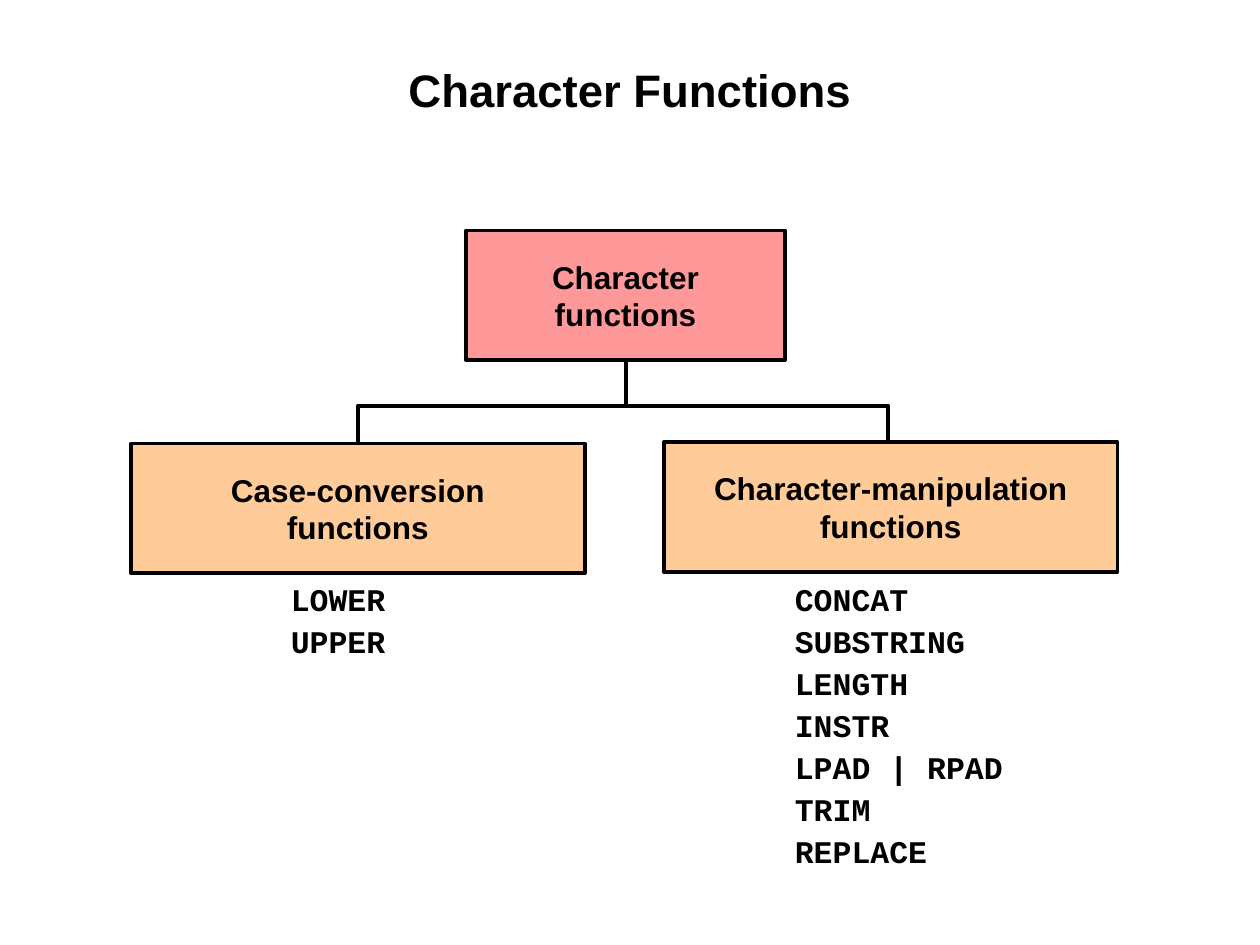
from pptx import Presentation, util as u
from pptx.dml.color import RGBColor
from pptx.enum import shapes, text
from pptx.oxml.ns import qn
from lxml import etree

BLACK = RGBColor(0x00, 0x00, 0x00)
PINK = RGBColor(0xFF, 0x99, 0x99)
ORANGE = RGBColor(0xFF, 0xCC, 0x99)

# Content: positions are in inches
TITLE = "Character Functions"
ROOT = ("Character", "functions")
BRANCHES = [
    dict(label=("Case-conversion", "functions"), left=1.04, top=3.52, drop=2.84,
         names=("LOWER", "UPPER"), list_at=(2.21, 4.59, 1, 0.7)),
    dict(label=("Character-manipulation", "functions"), left=5.27, top=3.51, drop=7.05,
         names=("CONCAT", "SUBSTRING", "LENGTH", "INSTR", "LPAD | RPAD", "TRIM", "REPLACE"),
         list_at=(6.21, 4.59, 3.12, 2.37)),
]
ROOT_AT = (3.7, 1.83, 2.53, 1.03)
BRANCH_SIZE = (3.6, 1.03)
BAR_Y = 3.22
DROP_END = 3.76


def inches(values):
    return [u.Inches(value) for value in values]


def write(frame, lines, font_name, size, align):
    frame.text = "\n".join(lines)
    for para in frame.paragraphs:
        para.alignment = align
        font = para.font
        font.name, font.size, font.bold = font_name, u.Pt(size), True
        font.color.rgb = BLACK


def outline(item):
    item.line.color.rgb = BLACK
    item.line.width = u.Pt(2.25)


def add_box(slide, at, lines, color):
    box = slide.shapes.add_shape(shapes.MSO_SHAPE.RECTANGLE, *inches(at))
    box.shadow.inherit = False
    box.fill.solid()
    box.fill.fore_color.rgb = color
    outline(box)
    box.text_frame.vertical_anchor = text.MSO_ANCHOR.MIDDLE
    write(box.text_frame, lines, "Arial", 18, text.PP_ALIGN.CENTER)
    return box


def add_list(slide, at, names):
    frame = slide.shapes.add_textbox(*inches(at)).text_frame
    frame.word_wrap = True
    write(frame, names, "Courier New", 18, text.PP_ALIGN.LEFT)
    for index, para in enumerate(frame.paragraphs):
        para.line_spacing = 0.9
        para.space_before = u.Pt(4.5 if index else 0)


def main():
    deck = Presentation()
    deck.slide_width, deck.slide_height = inches((10, 7.5))
    slide = deck.slides.add_slide(deck.slide_layouts[5])

    # Title
    title = slide.shapes.title
    title.left, title.top, title.width, title.height = inches((0.67, 0.48, 8.66, 0.96))
    frame = title.text_frame
    frame.vertical_anchor = text.MSO_ANCHOR.TOP
    frame.margin_top = u.Inches(0.01)
    write(frame, [TITLE], "Arial", 26, text.PP_ALIGN.CENTER)

    # Root box and the trunk below it
    root = add_box(slide, ROOT_AT, ROOT, PINK)
    center = root.left + root.width // 2
    trunk = slide.shapes.add_connector(shapes.MSO_CONNECTOR.STRAIGHT, center,
                                       root.top + root.height, center, u.Inches(BAR_Y))
    trunk.begin_connect(root, 2)
    outline(trunk)
    etree.SubElement(trunk._element.spPr, qn("a:effectLst"))

    # Bracket that spans the branches, its ends behind their boxes
    first, last = (branch["drop"] for branch in BRANCHES)
    start, *corners = [inches(point) for point in
                       ((first, DROP_END), (first, BAR_Y), (last, BAR_Y), (last, DROP_END))]
    builder = slide.shapes.build_freeform(*start)
    builder.add_line_segments(corners, close=False)
    bracket = builder.convert_to_shape()
    bracket.shadow.inherit = False
    bracket.fill.background()
    outline(bracket)

    # Branch boxes with their function lists
    for branch in BRANCHES:
        add_box(slide, (branch["left"], branch["top"], *BRANCH_SIZE), branch["label"], ORANGE)
        add_list(slide, branch["list_at"], branch["names"])

    deck.save("out.pptx")


if __name__ == "__main__":
    main()
